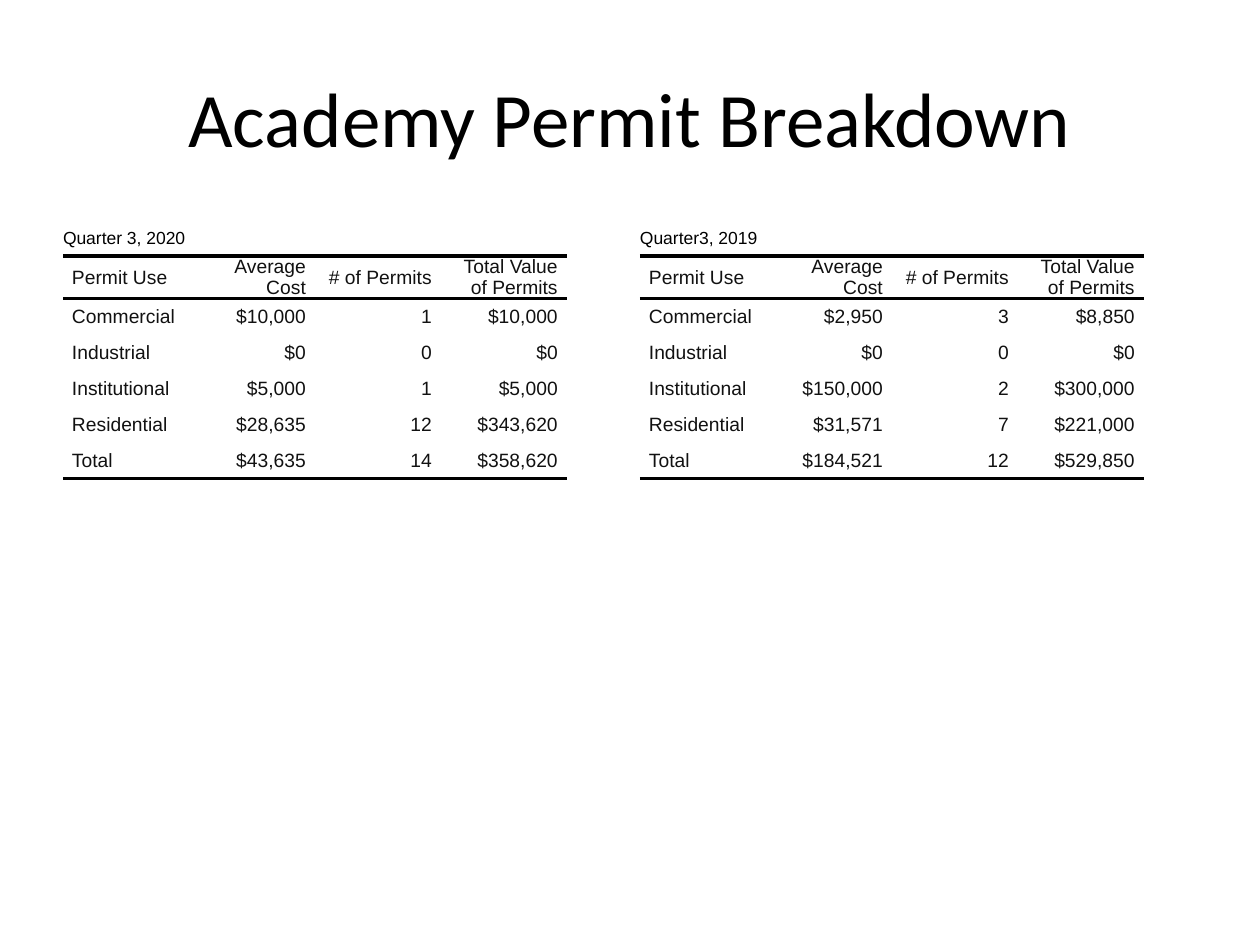
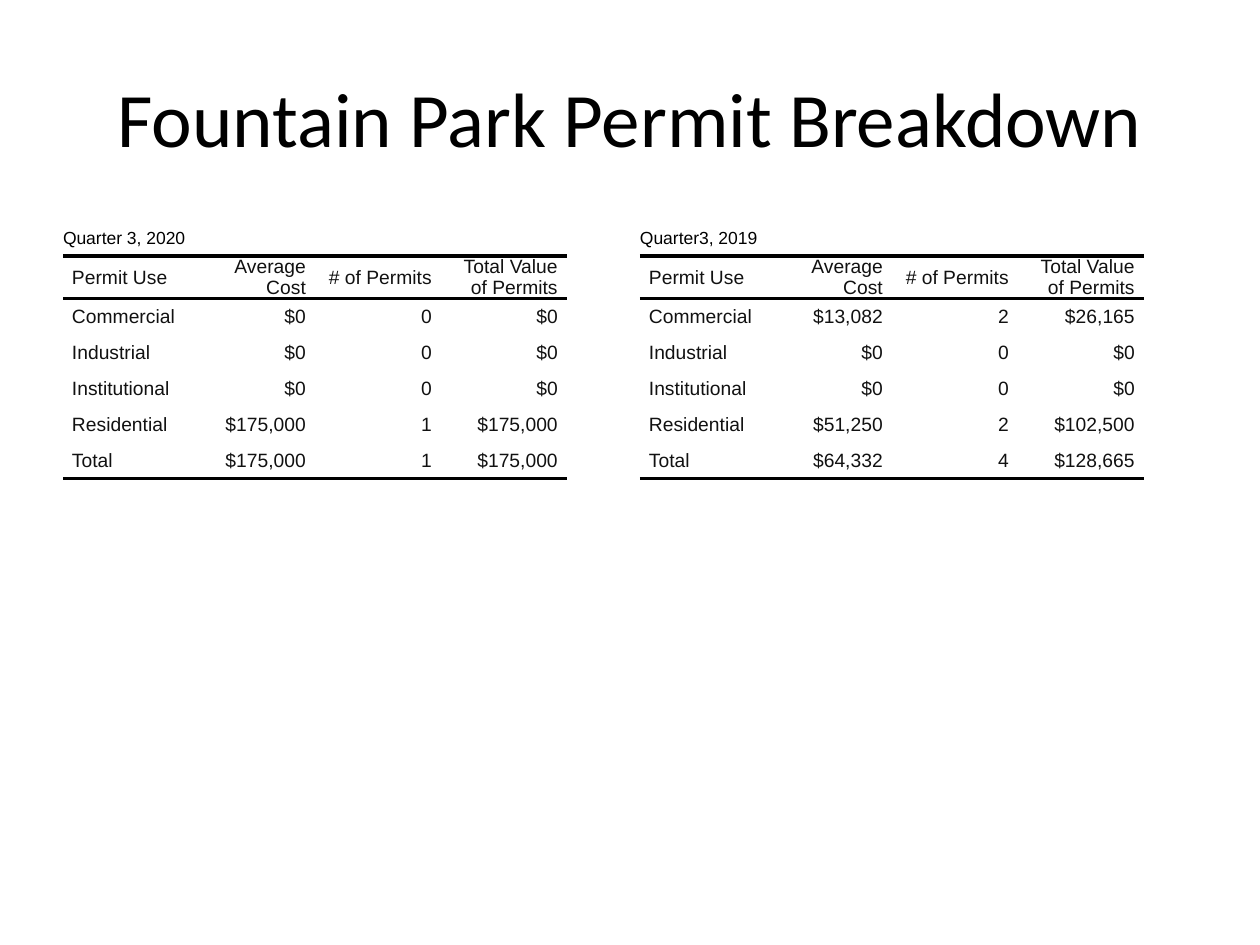
from lxml import etree
from pptx import Presentation
from pptx.dml.color import RGBColor
from pptx.enum.text import MSO_ANCHOR as Anchor, PP_ALIGN as Align
from pptx.oxml.ns import qn
from pptx.util import Pt

PX = 914400 // 126
BLACK = RGBColor(0x00, 0x00, 0x00)
CHARCOAL = RGBColor(0x11, 0x11, 0x11)
WHITE = RGBColor(0xFF, 0xFF, 0xFF)
PLAIN_TABLE = "{2D5ABB26-0587-4C30-8999-92F81FD0307C}"

TITLE_BOX = (63, 38, 1134, 158)
TABLE_BOXES = ((63, 220, 557, 624), (640, 220, 557, 624))
COLUMN_WIDTH, ROW_HEIGHT, CELL_INDENT = 126, 36, 9
QUARTERS = ("Quarter 3, 2020", "Quarter3, 2019")
HEADINGS = ("Permit Use", "Average Cost", "# of Permits", "Total Value of Permits")
USES = ("Commercial", "Industrial", "Institutional", "Residential", "Total")

BREAKDOWNS = {
    "Academy Permit Breakdown": (
        (("$10,000", "1", "$10,000"), ("$0", "0", "$0"), ("$5,000", "1", "$5,000"),
         ("$28,635", "12", "$343,620"), ("$43,635", "14", "$358,620")),
        (("$2,950", "3", "$8,850"), ("$0", "0", "$0"), ("$150,000", "2", "$300,000"),
         ("$31,571", "7", "$221,000"), ("$184,521", "12", "$529,850")),
    ),
    "Fountain Park Permit Breakdown": (
        (("$0", "0", "$0"), ("$0", "0", "$0"), ("$0", "0", "$0"),
         ("$175,000", "1", "$175,000"), ("$175,000", "1", "$175,000")),
        (("$13,082", "2", "$26,165"), ("$0", "0", "$0"), ("$0", "0", "$0"),
         ("$51,250", "2", "$102,500"), ("$64,332", "4", "$128,665")),
    ),
}


def write_text(text_frame, text, size, font="Arial", color=BLACK, align=Align.LEFT, indent=0):
    paragraph = text_frame.paragraphs[0]
    paragraph.alignment = align
    if indent:
        properties = paragraph._p.get_or_add_pPr()
        for side in ("marL", "marR"):
            properties.set(side, str(indent * PX))
        properties.set("indent", "0")
        paragraph.space_after = Pt(2)
    run = paragraph.add_run()
    run.text = text
    run.font.size = Pt(size)
    run.font.name = font
    run.font.color.rgb = color


def add_rules(cell, sides):
    properties = cell._tc.get_or_add_tcPr()
    for position, side in enumerate(sides):
        line = etree.Element(qn(f"a:ln{side}"), w=str(Pt(2)))
        fill = etree.SubElement(line, qn("a:solidFill"))
        etree.SubElement(fill, qn("a:srgbClr"), val=str(BLACK))
        properties.insert(position, line)


def format_cell(cell, sides=""):
    cell.margin_left = cell.margin_right = cell.margin_top = cell.margin_bottom = 0
    cell.vertical_anchor = Anchor.MIDDLE
    cell.fill.background()
    add_rules(cell, sides)


def add_permit_table(slide, box, quarter, values):
    left, top, width, height = (length * PX for length in box)
    rows = [HEADINGS] + [(use, *row) for use, row in zip(USES, values)]
    frame = slide.shapes.add_table(len(rows) + 1, len(HEADINGS), left, top, width, height)
    table = frame.table
    table.first_row = table.horz_banding = False
    table._tbl.tblPr.find(qn("a:tableStyleId")).text = PLAIN_TABLE
    for column in table.columns:
        column.width = COLUMN_WIDTH * PX
    for row in table.rows:
        row.height = ROW_HEIGHT * PX
    frame.width, frame.height = width, height

    caption = table.cell(0, 0)
    caption.merge(table.cell(0, len(HEADINGS) - 1))
    for column_index in range(len(HEADINGS)):
        format_cell(table.cell(0, column_index), "B")
    write_text(caption.text_frame, quarter, 10)

    rules = {1: "TB", len(rows): "B"}
    for row_index, row in enumerate(rows, 1):
        for column_index, text in enumerate(row):
            cell = table.cell(row_index, column_index)
            format_cell(cell, rules.get(row_index, ""))
            write_text(cell.text_frame, text, 11, color=CHARCOAL, indent=CELL_INDENT,
                       align=Align.RIGHT if column_index else Align.LEFT)


def add_title(slide, box, text):
    title = slide.shapes.title
    title.left, title.top, title.width, title.height = (length * PX for length in box)
    title.text_frame.vertical_anchor = Anchor.MIDDLE
    write_text(title.text_frame, text, 44, font="Calibri", align=Align.CENTER)


def add_breakdown_slide(presentation, title, tables):
    slide = presentation.slides.add_slide(presentation.slide_layouts[5])
    slide.background.fill.solid()
    slide.background.fill.fore_color.rgb = WHITE
    add_title(slide, TITLE_BOX, title)
    for box, quarter, values in zip(TABLE_BOXES, QUARTERS, tables):
        add_permit_table(slide, box, quarter, values)


def main():
    presentation = Presentation()
    presentation.slide_width, presentation.slide_height = 1260 * PX, 945 * PX
    for title, tables in BREAKDOWNS.items():
        add_breakdown_slide(presentation, title, tables)
    presentation.save("out.pptx")


if __name__ == "__main__":
    main()
